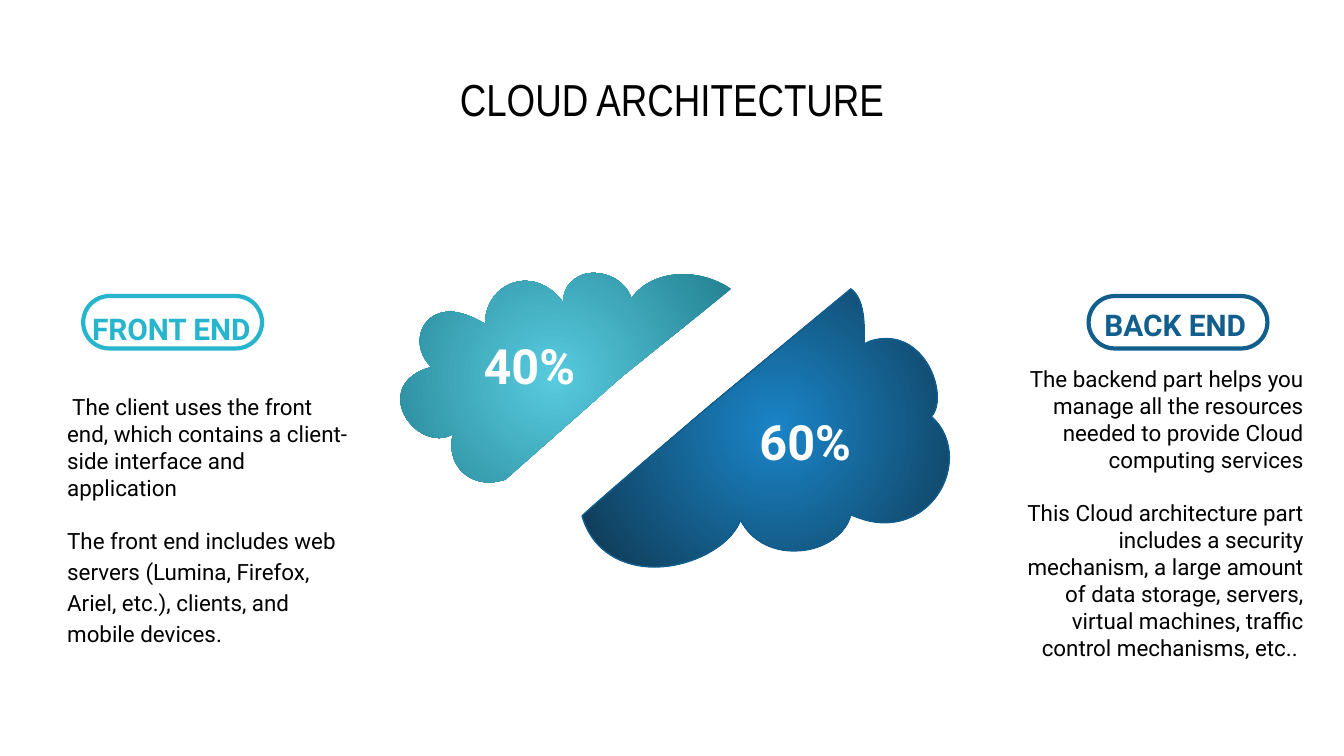
import pptx
import pptx.util
import pptx.dml.color
import pptx.enum.shapes
import pptx.enum.text
import pptx.oxml
import pptx.oxml.ns
from dataclasses import dataclass
from lxml import etree

Pt = pptx.util.Pt
qn = pptx.oxml.ns.qn
Align = pptx.enum.text.PP_ALIGN
Anchor = pptx.enum.text.MSO_ANCHOR


@dataclass(frozen=True)
class Theme:
    black: str = "000000"
    white: str = "FFFFFF"
    teal: str = "27B5CE"
    blue: str = "125E8D"
    teal_fade: tuple = ("58CBDF", "238191")
    blue_fade: tuple = ("1A85C8", "0F3750")
    head: str = "Arial Narrow"
    body: str = "Roboto"
    title: int = 24
    share: int = 26
    label: int = 16
    text: int = 12


def color(code):
    return pptx.dml.color.RGBColor.from_string(code)


class Deck:
    def __init__(self, theme):
        self.theme = theme
        self.file = pptx.Presentation()
        self.file.slide_width, self.file.slide_height = Pt(720), Pt(405)
        self.slide = self.file.slides.add_slide(self.file.slide_layouts[6])

    def text(self, box, lines, size, tint, font=None, bold=False,
             align=Align.LEFT, anchor=Anchor.MIDDLE, inset=3.6):
        """Add a text box; each line is a string with its paragraph spacing."""
        frame = self.slide.shapes.add_textbox(*map(Pt, box)).text_frame
        frame.word_wrap = True
        frame.vertical_anchor = anchor
        frame.margin_left = frame.margin_right = Pt(inset)
        frame.margin_top = frame.margin_bottom = Pt(inset)
        for i, (words, gaps) in enumerate(lines):
            para = frame.add_paragraph() if i else frame.paragraphs[0]
            para.text = words
            para.alignment = align
            for key, value in gaps.items():
                setattr(para, key, value)
            para.font.name = font or self.theme.body
            para.font.size = Pt(size)
            para.font.bold = bold
            para.font.color.rgb = color(tint)

    def pill(self, box, tint):
        shape = self.slide.shapes.add_shape(
            pptx.enum.shapes.MSO_SHAPE.ROUNDED_RECTANGLE, *map(Pt, box))
        shape.adjustments[0] = 0.5
        shape.shadow.inherit = False
        shape.fill.background()
        shape.line.color.rgb = color(tint)
        shape.line.width = Pt(2.25)

    def cloud(self, box, start, steps, fade, edge=None):
        """Add an outline of lines (2 numbers) and cubic curves (6)."""
        build = self.slide.shapes.build_freeform(*map(Pt, start))
        build.add_line_segments(
            [(Pt(step[-2]), Pt(step[-1])) for step in steps], close=True)
        shape = build.convert_to_shape()
        self.bend(shape, box, start, steps)
        shape.shadow.inherit = False
        shape.fill.gradient()
        for stop, tint in zip(shape.fill.gradient_stops, fade):
            stop.color.rgb = color(tint)
        self.radiate(shape)
        if edge:
            shape.line.color.rgb = color(edge)
            shape.line.width = Pt(0.75)
        else:
            shape.line.fill.background()

    def bend(self, shape, box, start, steps):
        """Fit the outline to its box and make its curves true curves."""
        left, top, width, height = box
        shape.left, shape.top = Pt(left), Pt(top)
        shape.width, shape.height = Pt(width), Pt(height)
        outline = next(shape._element.iter(qn("a:path")))
        outline.set("w", str(Pt(width)))
        outline.set("h", str(Pt(height)))
        for old in list(outline):
            outline.remove(old)
        for step in (start, *steps):
            kind = "cubicBezTo" if len(step) == 6 else "lnTo"
            if step is start:
                kind = "moveTo"
            node = etree.SubElement(outline, qn(f"a:{kind}"))
            for x, y in zip(step[::2], step[1::2]):
                etree.SubElement(node, qn("a:pt"), x=str(Pt(x - left)),
                                 y=str(Pt(y - top)))
        etree.SubElement(outline, qn("a:close"))

    def radiate(self, shape):
        """Make a linear gradient spread from the centre."""
        grad = shape._element.spPr.find(qn("a:gradFill"))
        grad.replace(grad.find(qn("a:lin")), pptx.oxml.parse_xml(
            f'<a:path {pptx.oxml.ns.nsdecls("a")} path="circle">'
            '<a:fillToRect l="50000" t="50000" r="50000" b="50000"/>'
            '</a:path>'))


FRONT = (201.6, 146.2, 190.1, 112.3), (318.2, 146.2), [
    (309.6, 146.2, 301.7, 151.9, 301.7, 162),
    (295.9, 154.1, 288.7, 150.5, 281.5, 150.5),
    (270, 150.5, 259.9, 159.8, 259.9, 173.5),
    (252.7, 169.2, 246.2, 167, 241.2, 167),
    (224.6, 167, 219.6, 185.8, 231.1, 196.6),
    (201.6, 204.5, 216.7, 234.7, 235.4, 234.7),
    (237.6, 234.7, 240.5, 234, 242.6, 232.6),
    (239, 248.4, 249.8, 258.5, 262.1, 258.5),
    (265, 258.5, 267.8, 257.8, 270.7, 257),
    (333.4, 201.6),
    (391.7, 154.8),
    (384.5, 149.8, 375.1, 146.9, 365.8, 146.9),
    (355, 146.9, 344.2, 151.2, 338.4, 159.8),
    (334.8, 150.5, 326.2, 146.2, 318.2, 146.2),
]
BACK = (311.8, 154.8, 208.1, 149), (455.8, 154.8), [
    (380.2, 217.4),
    (380.2, 217.4, 312.5, 275, 311.8, 276.5),
    (317.5, 295.9, 334.1, 303.8, 350.6, 303.8),
    (370.8, 303.8, 391.7, 292.3, 396.7, 278.6),
    (403.2, 290.9, 414.7, 295.2, 425.5, 295.2),
    (439.9, 295.2, 452.9, 287.3, 455.8, 275.8),
    (462.2, 278.6, 468, 280.1, 473.8, 280.1),
    (504.7, 280.1, 519.8, 241.9, 499, 223.2),
    (507.6, 213.8, 498.2, 181.4, 474.5, 181.4),
    (470.9, 181.4, 466.6, 182.2, 463, 184.3),
    (463, 175, 463.7, 160.6, 455.8, 154.8),
]


def main():
    theme = Theme()
    deck = Deck(theme)
    deck.text((32.4, 222.5, 163.4, 112.3), [
        (" The client uses the front end, which contains a client-side "
         "interface and application", {}),
        ("The front end includes web servers (Lumina, Firefox, Ariel, etc.), "
         "clients, and mobile devices.",
         dict(line_spacing=1.15, space_before=Pt(12), space_after=Pt(12))),
    ], theme.text, theme.black)
    deck.text((36, 31.3, 648, 45.4), [("CLOUD ARCHITECTURE", {})],
              theme.title, theme.black, theme.head, align=Align.CENTER,
              anchor=Anchor.TOP, inset=7.2)
    deck.text((542.9, 218.6, 159.1, 112.3), [
        ("The backend part helps you manage all the resources needed to "
         "provide Cloud computing services", {}),
        ("This Cloud architecture part includes a security mechanism, a large "
         "amount of data storage, servers, virtual machines, traffic control "
         "mechanisms, etc.. ", dict(space_before=Pt(14.4))),
    ], theme.text, theme.black, align=Align.RIGHT)

    deck.cloud(*FRONT, theme.teal_fade)
    deck.cloud(*BACK, theme.blue_fade, theme.blue)
    for words, left, top in (("40%", 239, 183.6), ("60%", 386.8, 224.3)):
        deck.text((left, top, 89.3, 24.5), [(words, {})], theme.share,
                  theme.white, bold=True, align=Align.CENTER)

    for words, tint, left, box in (
            ("BACK END", theme.blue, 583.2, (585, 154.8, 89.3, 35.3)),
            ("FRONT END", theme.teal, 44.6, (43.9, 154.8, 95.8, 39.6))):
        deck.pill((left, 158.6, 95.8, 28.1), tint)
        deck.text(box, [(words, dict(line_spacing=1.15))], theme.label, tint,
                  bold=True, align=Align.CENTER)
    deck.file.save("out.pptx")


if __name__ == "__main__":
    main()
